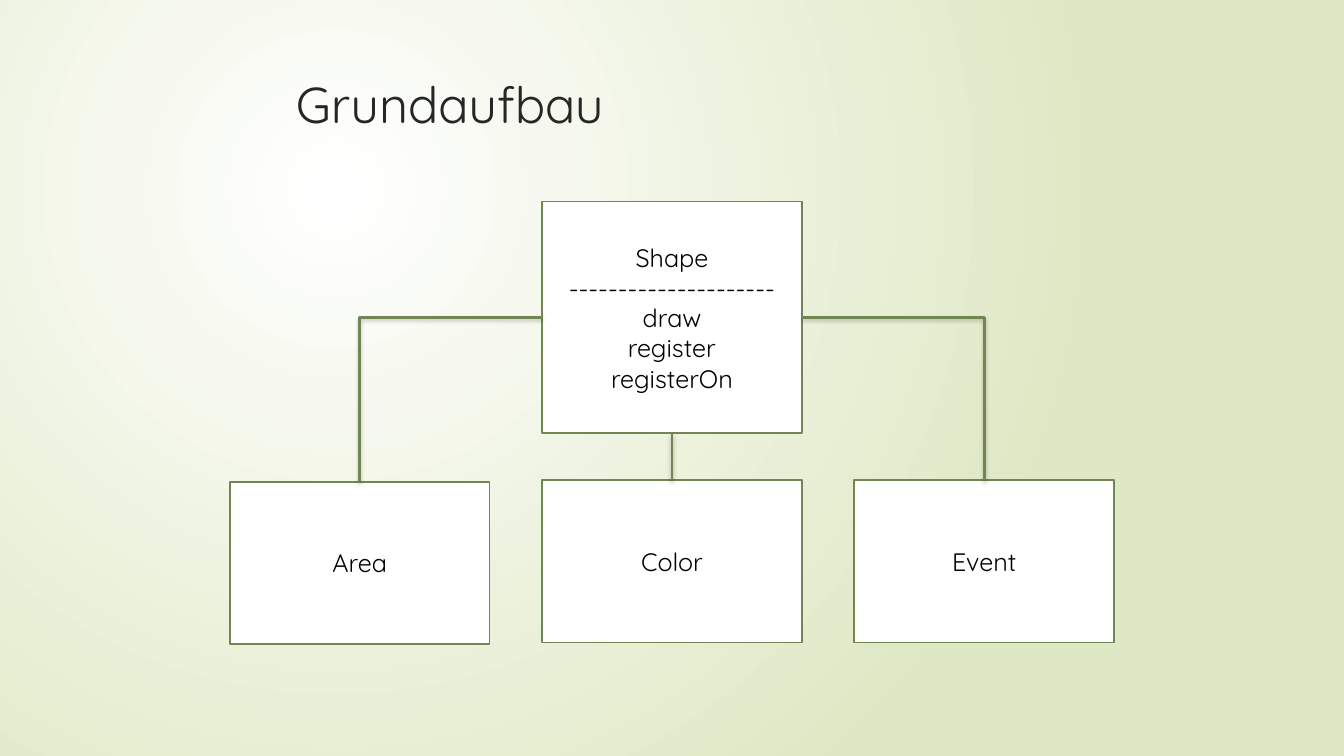
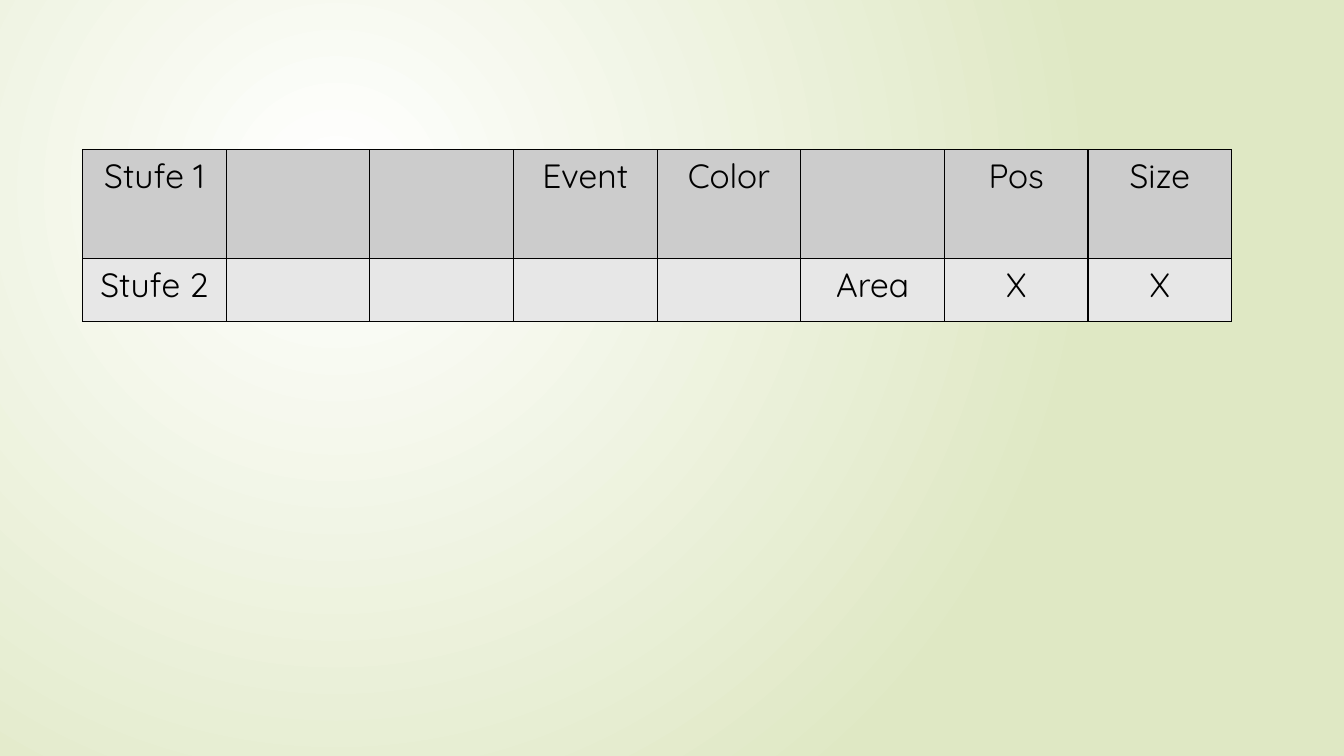
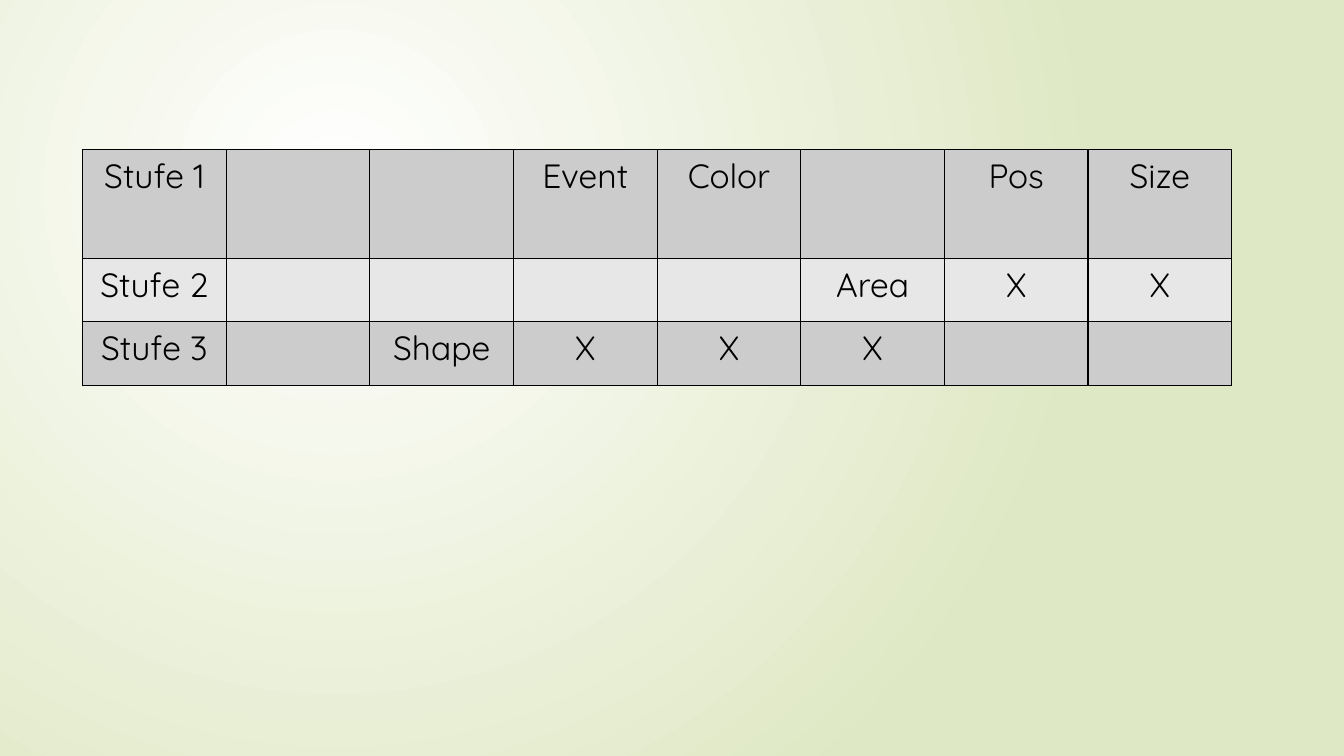
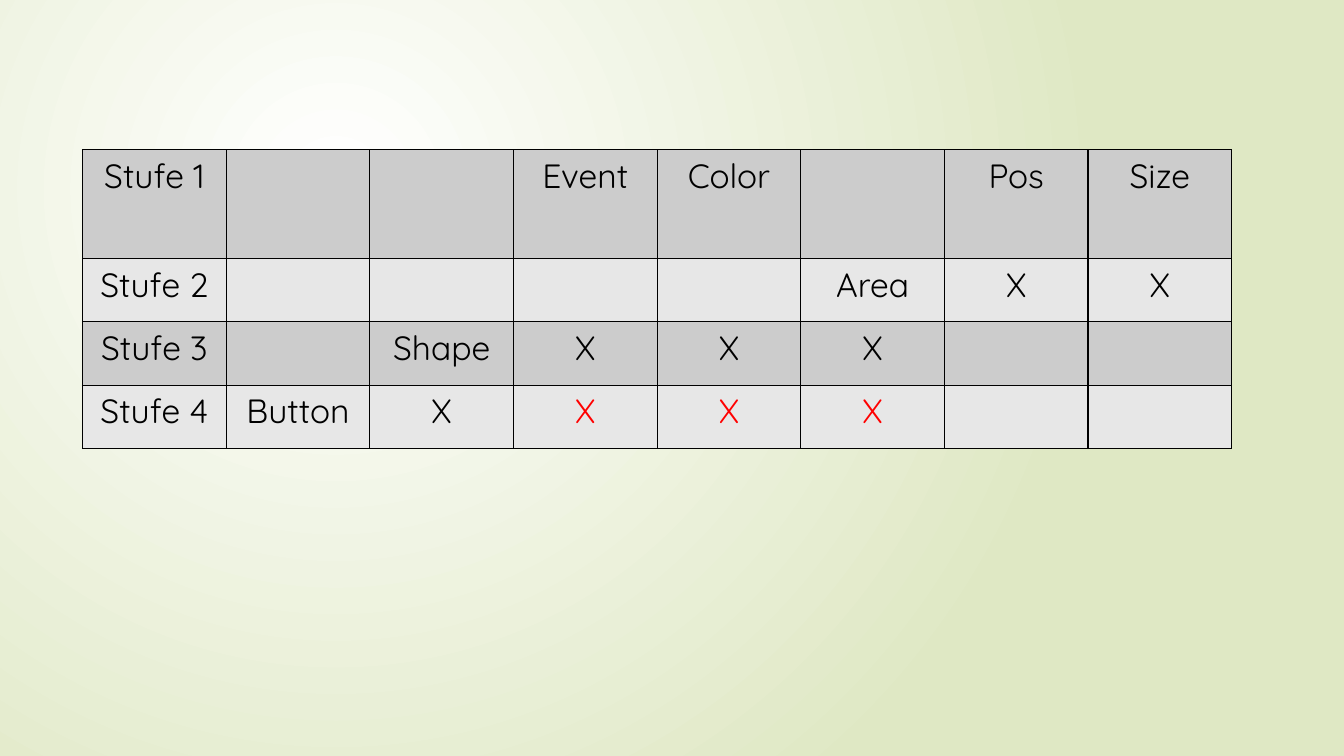
from dataclasses import dataclass

from lxml.etree import SubElement
from pptx import Presentation
from pptx.dml.color import RGBColor
from pptx.enum.shapes import MSO_CONNECTOR, MSO_SHAPE
from pptx.enum.text import MSO_ANCHOR, PP_ALIGN
from pptx.oxml.ns import qn
from pptx.util import Cm, Pt


@dataclass(frozen=True)
class Theme:
    font: str = "Quicksand"
    glow: str = "FFFFFF"
    backdrop: str = "DFE8C4"
    title: str = "262626"
    text: str = "000000"
    inherited: str = "FF0000"
    box: str = "FFFFFF"
    outline: str = "728653"
    bands: tuple = ("CCCCCC", "E7E7E7")
    title_size: int = 36
    box_size: int = 18
    table_size: int = 24
    box_line: float = 1.25
    link_line: float = 1.75
    grid_line: float = 1


TOP, LEFT, BOTTOM, RIGHT = range(4)

LEVELS = [
    ["Stufe 1", "", "", "Event", "Color", "", "Pos", "Size"],
    ["Stufe 2", "", "", "", "", "Area", "X", "X"],
    ["Stufe 3", "", "Shape", "X", "X", "X", "", ""],
    ["Stufe 4", "Button", "X", "X", "X", "X", "", ""],
]
INHERITED_MARKS = {(3, 3), (3, 4), (3, 5)}


def rgb(value):
    return RGBColor.from_string(value)


def write_text(frame, text, *, font, size, color, align=PP_ALIGN.CENTER):
    frame.text = text
    for paragraph in frame.paragraphs:
        paragraph.alignment = align
        style = paragraph.font
        style.name = font
        style.size = Pt(size)
        style.bold = False
        style.color.rgb = rgb(color)


def add_node(parent, tag, **attributes):
    return SubElement(parent, qn(tag), {key: str(value) for key, value in attributes.items()})


class Deck:
    def __init__(self, theme):
        self.theme = theme
        self.presentation = Presentation()
        self.presentation.slide_width = Cm(33.87)
        self.presentation.slide_height = Cm(19.05)
        self.slide = None
        self.paint_background()

    def paint_background(self):
        master = self.presentation.slide_master
        fill = master.background.fill
        fill.gradient()
        for stop, color in zip(fill.gradient_stops, (self.theme.glow, self.theme.backdrop)):
            stop.color.rgb = rgb(color)
        gradient = master.element.find(".//" + qn("a:gradFill"))
        gradient.remove(gradient.find(qn("a:lin")))
        circle = add_node(gradient, "a:path", path="circle")
        add_node(circle, "a:fillToRect", l=50000, t=50000, r=100000, b=100000)

    def new_slide(self):
        self.slide = self.presentation.slides.add_slide(self.presentation.slide_layouts[6])

    def title(self, text):
        heading = self.slide.shapes.add_textbox(Cm(7.21), Cm(1.73), Cm(24.77), Cm(3.56))
        heading.text_frame.word_wrap = True
        write_text(heading.text_frame, text, font=self.theme.font, size=self.theme.title_size,
                   color=self.theme.title, align=PP_ALIGN.LEFT)

    def box(self, text, left, top, width, height):
        box = self.slide.shapes.add_shape(MSO_SHAPE.RECTANGLE, Cm(left), Cm(top), Cm(width), Cm(height))
        box.shadow.inherit = False
        box.fill.solid()
        box.fill.fore_color.rgb = rgb(self.theme.box)
        box.line.color.rgb = rgb(self.theme.outline)
        box.line.width = Pt(self.theme.box_line)
        box.text_frame.word_wrap = True
        box.text_frame.vertical_anchor = MSO_ANCHOR.MIDDLE
        write_text(box.text_frame, text, font=self.theme.font, size=self.theme.box_size,
                   color=self.theme.text)
        return box

    def link(self, start, start_side, end, end_side, bent=False):
        kind = MSO_CONNECTOR.ELBOW if bent else MSO_CONNECTOR.STRAIGHT
        link = self.slide.shapes.add_connector(kind, 0, 0, 0, 0)
        link.begin_connect(start, start_side)
        link.end_connect(end, end_side)
        link.line.color.rgb = rgb(self.theme.outline)
        link.line.width = Pt(self.theme.link_line)
        properties = link.element.spPr
        if bent:
            properties.find(qn("a:prstGeom")).set("prst", "bentConnector2")
        effects = add_node(properties, "a:effectLst")
        shadow = add_node(effects, "a:outerShdw", blurRad=Pt(3), dist=Pt(2), dir=5400000, rotWithShape=0)
        shade = add_node(shadow, "a:srgbClr", val=self.theme.text)
        add_node(shade, "a:alpha", val=25000)

    def border(self, cell):
        properties = cell._tc.get_or_add_tcPr()
        for side in ("a:lnL", "a:lnR", "a:lnT", "a:lnB"):
            edge = add_node(properties, side, w=Pt(self.theme.grid_line))
            add_node(add_node(edge, "a:solidFill"), "a:srgbClr", val=self.theme.text)

    def level_table(self, levels, column_width=3.62, first_height=2.74, row_height=1.6):
        columns = len(levels[0])
        heights = [first_height] + [row_height] * (len(levels) - 1)
        table = self.slide.shapes.add_table(len(levels), columns, Cm(2.08), Cm(3.77),
                                            Cm(column_width * columns), Cm(sum(heights))).table
        table.first_row = False
        table.horz_banding = False
        for column in table.columns:
            column.width = Cm(column_width)
        for r, level in enumerate(levels):
            table.rows[r].height = Cm(heights[r])
            for c, entry in enumerate(level):
                cell = table.cell(r, c)
                self.border(cell)
                cell.fill.solid()
                cell.fill.fore_color.rgb = rgb(self.theme.bands[r % 2])
                color = self.theme.inherited if (r, c) in INHERITED_MARKS else self.theme.text
                write_text(cell.text_frame, entry, font=self.theme.font,
                           size=self.theme.table_size, color=color)


def structure_slide(deck):
    deck.new_slide()
    deck.title("Grundaufbau")
    width, height, pitch, left = 6.55, 4.09, 7.87, 5.79
    members = "\n".join(["Shape", "-" * 21, "draw", "register", "registerOn"])
    shape = deck.box(members, left + pitch, 5.08, width, 5.84)
    area, color, event = [
        deck.box(name, left + index * pitch, top, width, height)
        for index, (name, top) in enumerate([("Area", 12.14), ("Color", 12.1), ("Event", 12.1)])
    ]
    deck.link(shape, BOTTOM, color, TOP)
    deck.link(shape, RIGHT, event, TOP, bent=True)
    deck.link(shape, LEFT, area, TOP, bent=True)


def main():
    deck = Deck(Theme())
    structure_slide(deck)
    for count in range(2, len(LEVELS) + 1):
        deck.new_slide()
        deck.level_table(LEVELS[:count])
    deck.presentation.save("out.pptx")


if __name__ == "__main__":
    main()
